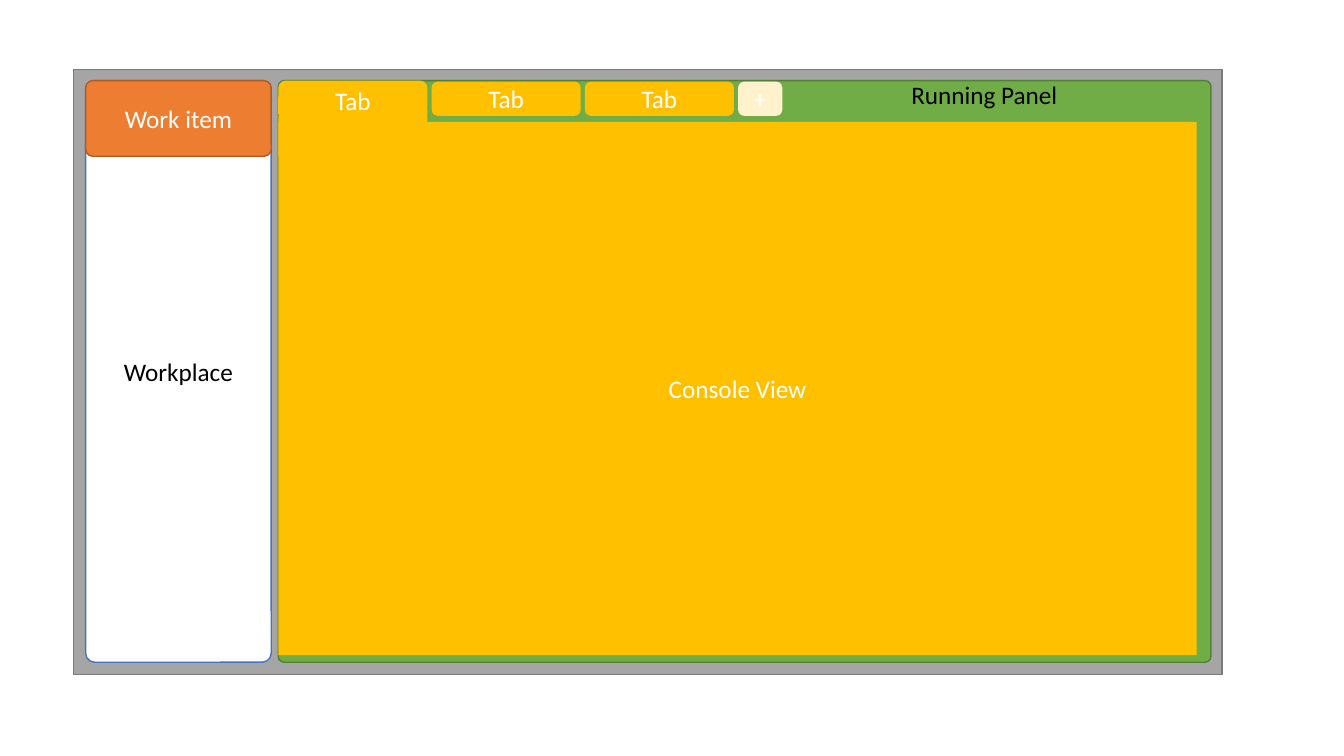
from dataclasses import dataclass

from pptx import Presentation
from pptx.dml.color import RGBColor
from pptx.enum.shapes import MSO_SHAPE
from pptx.enum.text import MSO_ANCHOR, MSO_AUTO_SIZE, PP_ALIGN
from pptx.util import Inches, Pt

RECTANGLE = MSO_SHAPE.RECTANGLE
ROUNDED = MSO_SHAPE.ROUNDED_RECTANGLE
MIDDLE = MSO_ANCHOR.MIDDLE
CENTER = PP_ALIGN.CENTER
FIT_SHAPE = MSO_AUTO_SIZE.SHAPE_TO_FIT_TEXT


@dataclass(frozen=True)
class Theme:
    font: str = "Calibri"
    text_size: int = 18
    line_width: int = 1
    white: str = "FFFFFF"
    black: str = "000000"
    frame: str = "A5A5A5"
    frame_line: str = "7A7A7A"
    workplace_line: str = "4472C4"
    work_item: str = "ED7D31"
    work_item_line: str = "AF5C24"
    panel: str = "70AD47"
    panel_line: str = "538035"
    tab: str = "FFC000"
    add_tab: str = "FFF2CC"


THEME = Theme()


def set_attributes(target, values):
    for name, value in values.items():
        setattr(target, name, value)


def write_text(shape, text, color, frame_format, alignment=None):
    text_frame = shape.text_frame
    set_attributes(text_frame, frame_format)
    paragraph = text_frame.paragraphs[0]
    paragraph.alignment = alignment
    run = paragraph.add_run()
    run.text = text
    set_attributes(run.font, {"name": THEME.font, "size": Pt(THEME.text_size)})
    run.font.color.rgb = RGBColor.from_string(color)


def add_block(slide, box, fill, line=None, radius=None, text=None, color=THEME.white):
    kind = RECTANGLE if radius is None else ROUNDED
    shape = slide.shapes.add_shape(kind, *map(Inches, box))
    shape.shadow.inherit = False
    if radius is not None:
        shape.adjustments[0] = radius
    shape.fill.solid()
    shape.fill.fore_color.rgb = RGBColor.from_string(fill)
    if line:
        shape.line.color.rgb = RGBColor.from_string(line)
        shape.line.width = Pt(THEME.line_width)
    else:
        shape.line.fill.background()
    if text:
        frame_format = {"vertical_anchor": MIDDLE, "word_wrap": True}
        write_text(shape, text, color, frame_format, CENTER)


def add_label(slide, box, text):
    label = slide.shapes.add_textbox(*map(Inches, box))
    frame_format = {"word_wrap": False, "auto_size": FIT_SHAPE}
    write_text(label, text, THEME.black, frame_format)


def add_sidebar(slide, left, top, width, height):
    add_block(slide, (left, top, width, height), THEME.white,
              THEME.workplace_line, 0.048, "Workplace", THEME.black)
    add_block(slide, (left, top, width, 0.75), THEME.work_item,
              THEME.work_item_line, 0.093, "Work item")


def add_tabs(slide, left, top):
    width, pitch, radius = 1.48, 1.52, 0.183
    add_block(slide, (left, top, width, 0.4), THEME.tab, radius=radius, text="Tab")
    tabs = [("Tab", width, THEME.tab), ("Tab", width, THEME.tab), ("+", 0.44, THEME.add_tab)]
    for position, (text, tab_width, fill) in enumerate(tabs, start=1):
        box = (left + position * pitch, top + 0.01, tab_width, 0.34)
        add_block(slide, box, fill, radius=radius, text=text)
    add_block(slide, (left, top + 0.35, width, 0.4), THEME.tab)


def add_running_panel(slide, left, top, width, height):
    add_block(slide, (left, top, width, height), THEME.panel, THEME.panel_line, 0.01)
    add_tabs(slide, left, top)
    add_block(slide, (left, 1.21, 9.11, 5.29), THEME.tab, text="Console View")
    add_label(slide, (8.94, 0.74, 1.67, 0.4), "Running Panel")


def main():
    presentation = Presentation()
    size = {"slide_width": Inches(13.33), "slide_height": Inches(7.5)}
    set_attributes(presentation, size)
    slide = presentation.slides.add_slide(presentation.slide_layouts[6])
    top, height = 0.8, 5.77
    add_block(slide, (0.73, 0.69, 11.39, 6), THEME.frame, THEME.frame_line)
    add_sidebar(slide, 0.85, top, 1.84, height)
    add_running_panel(slide, 2.76, top, 9.25, height)
    presentation.save("out.pptx")


if __name__ == "__main__":
    main()
